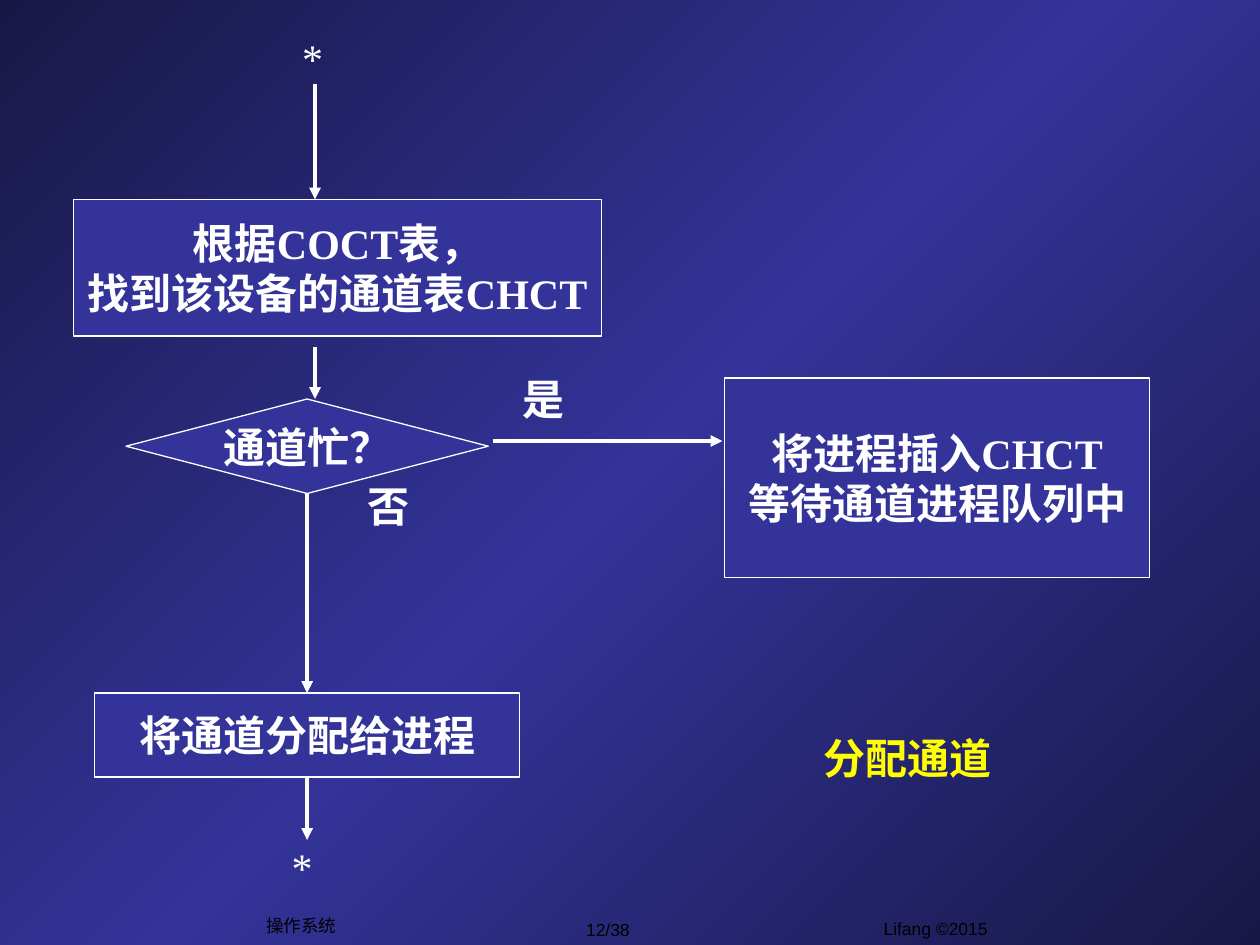
from copy import deepcopy

from lxml import etree
from pptx import Presentation
from pptx.dml.color import RGBColor
from pptx.enum.shapes import MSO_CONNECTOR, MSO_SHAPE
from pptx.enum.text import MSO_ANCHOR, MSO_AUTO_SIZE, PP_ALIGN
from pptx.oxml.ns import qn
from pptx.util import Inches, Pt

RECT = MSO_SHAPE.RECTANGLE
PROCESS = MSO_SHAPE.FLOWCHART_PROCESS
DECISION = MSO_SHAPE.FLOWCHART_DECISION
STRAIGHT = MSO_CONNECTOR.STRAIGHT
LEFT, CENTER = PP_ALIGN.LEFT, PP_ALIGN.CENTER
TOP, MIDDLE = MSO_ANCHOR.TOP, MSO_ANCHOR.MIDDLE
NO_FIT = MSO_AUTO_SIZE.NONE

COLORS = {
    "edge": "181847",
    "box": "333399",
    "white": "FFFFFF",
    "title": "FFFF00",
    "footer": "000000",
}
COLS, ROWS = 120, 90
WIDTH, HEIGHT = Inches(10), Inches(7.5)
BODY_FONT, FOOTER_FONT = "Times New Roman", "Arial"


def rgb(name):
    return RGBColor.from_string(COLORS[name])


def grid(col, row):
    return round(col * WIDTH / COLS), round(row * HEIGHT / ROWS)


def paint_background(slide):
    fill = slide.background.fill
    fill.gradient()
    fill.gradient_angle = 315
    stop_list = next(slide.element.iter(qn("a:gsLst")))
    stop_list.append(deepcopy(stop_list[0]))
    stops = zip(fill.gradient_stops, (0, 0.5, 1), ("edge", "box", "edge"))
    for stop, position, color in stops:
        stop.position = position
        stop.color.rgb = rgb(color)


def write(sp, lines, color="white", size=24, font=BODY_FONT, bold=True,
          align=CENTER, anchor=MIDDLE):
    tf = sp.text_frame
    tf.word_wrap = False
    tf.auto_size = NO_FIT
    tf.vertical_anchor = anchor
    for i, line in enumerate(lines):
        p = tf.paragraphs[0] if i == 0 else tf.add_paragraph()
        p.alignment = align
        r = p.add_run()
        r.text = line
        r.font.name = font
        r.font.size = Pt(size)
        r.font.bold = bold
        r.font.color.rgb = rgb(color)


def add_step(slide, kind, col, row, cols, rows, *lines):
    sp = slide.shapes.add_shape(kind, *grid(col, row), *grid(cols, rows))
    sp.shadow.inherit = False
    sp.fill.solid()
    sp.fill.fore_color.rgb = rgb("box")
    sp.line.color.rgb = rgb("white")
    sp.line.width = Pt(0.75)
    write(sp, lines)
    return sp


def add_label(slide, text, col, row, cols, rows, **style):
    sp = slide.shapes.add_textbox(*grid(col, row), *grid(cols, rows))
    write(sp, [text], **style)


def add_arrow(slide, start, end, source=None, target=None):
    line = slide.shapes.add_connector(STRAIGHT, *grid(*start), *grid(*end))
    if source is not None:
        line.begin_connect(source, 2)
    if target is not None:
        line.end_connect(target, 0)
    line.line.color.rgb = rgb("white")
    line.line.width = Pt(2.25)
    ln = line.line._get_or_add_ln()
    etree.SubElement(ln, qn("a:tailEnd"), type="triangle")
    etree.SubElement(line.element.spPr, qn("a:effectLst"))


def add_footer(slide):
    style = {"color": "footer", "size": 10, "font": FOOTER_FONT, "bold": False}
    add_label(slide, "Lifang ©2015", 70.1, 86.8, 38, 4.2, anchor=TOP, **style)
    add_label(slide, "12/38", 51.8, 86.9, 12.2, 3.2, **style)
    add_label(slide, "操作系统", 24.2, 86.5, 9, 3.2, **style)


def main():
    prs = Presentation()
    prs.slide_width, prs.slide_height = WIDTH, HEIGHT
    slide = prs.slides.add_slide(prs.slide_layouts[6])
    paint_background(slide)
    add_footer(slide)

    add_step(slide, RECT, 7, 19, 50.3, 13,
             "根据COCT表，", "找到该设备的通道表CHCT")
    busy = add_step(slide, DECISION, 12, 38, 34.5, 9, "通道忙？")
    assign = add_step(slide, PROCESS, 9, 66, 40.5, 8, "将通道分配给进程")
    add_step(slide, RECT, 69, 36, 40.5, 19,
             "将进程插入CHCT", "等待通道进程队列中")

    axis = 29.25
    add_arrow(slide, (30, 8), (30, 19))
    add_arrow(slide, (30, 33), (30, 38))
    add_arrow(slide, (47, 42), (68.8, 42))
    add_arrow(slide, (axis, 47), (axis, 66), busy, assign)
    add_arrow(slide, (axis, 74), (axis, 80), assign)

    label = {"align": LEFT, "anchor": TOP}
    add_label(slide, "否", 33.8, 45.2, 6.4, 6, **label)
    add_label(slide, "是", 48.6, 35, 6.4, 6, **label)
    for col, row in ((26.6, 79.6), (27.6, 2.5)):
        add_label(slide, "*", col, row, 4.3, 6, bold=False, **label)
    add_label(slide, "分配通道", 72.5, 69.2, 27.8, 6, color="title")

    prs.save("out.pptx")


if __name__ == "__main__":
    main()
